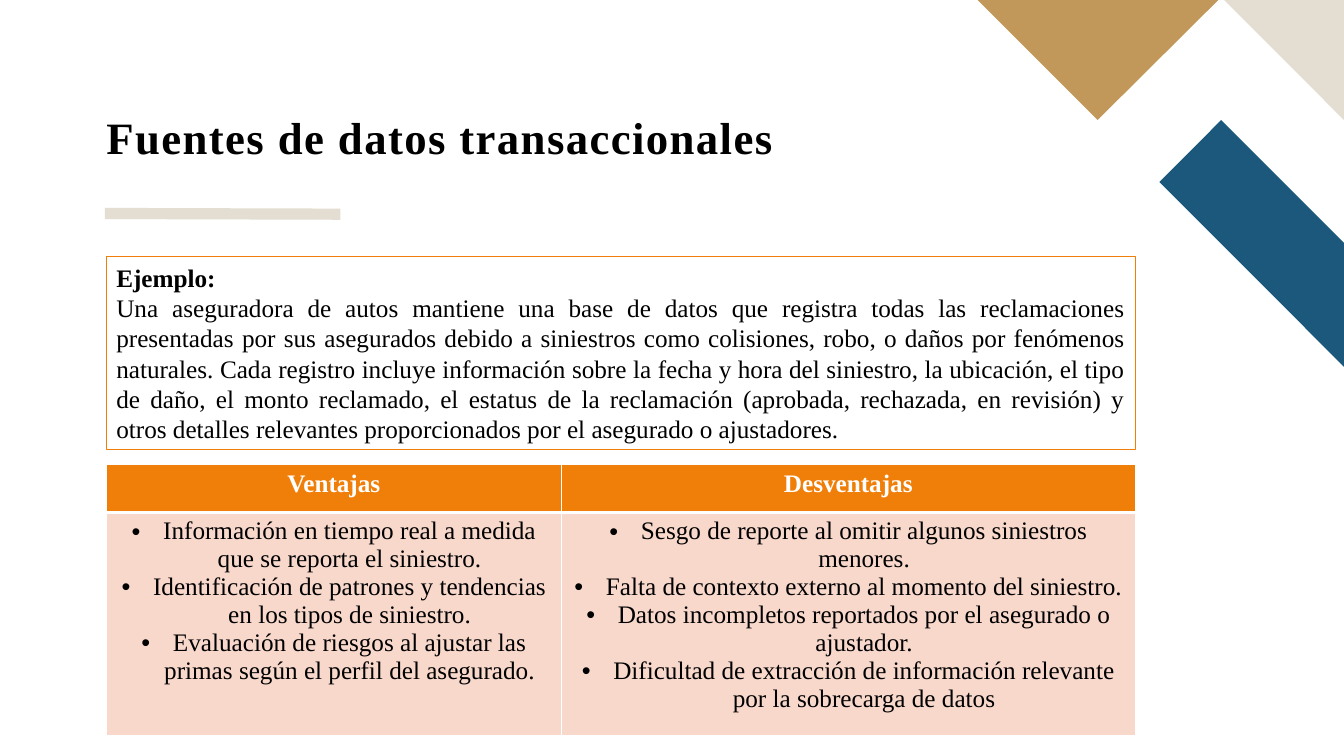
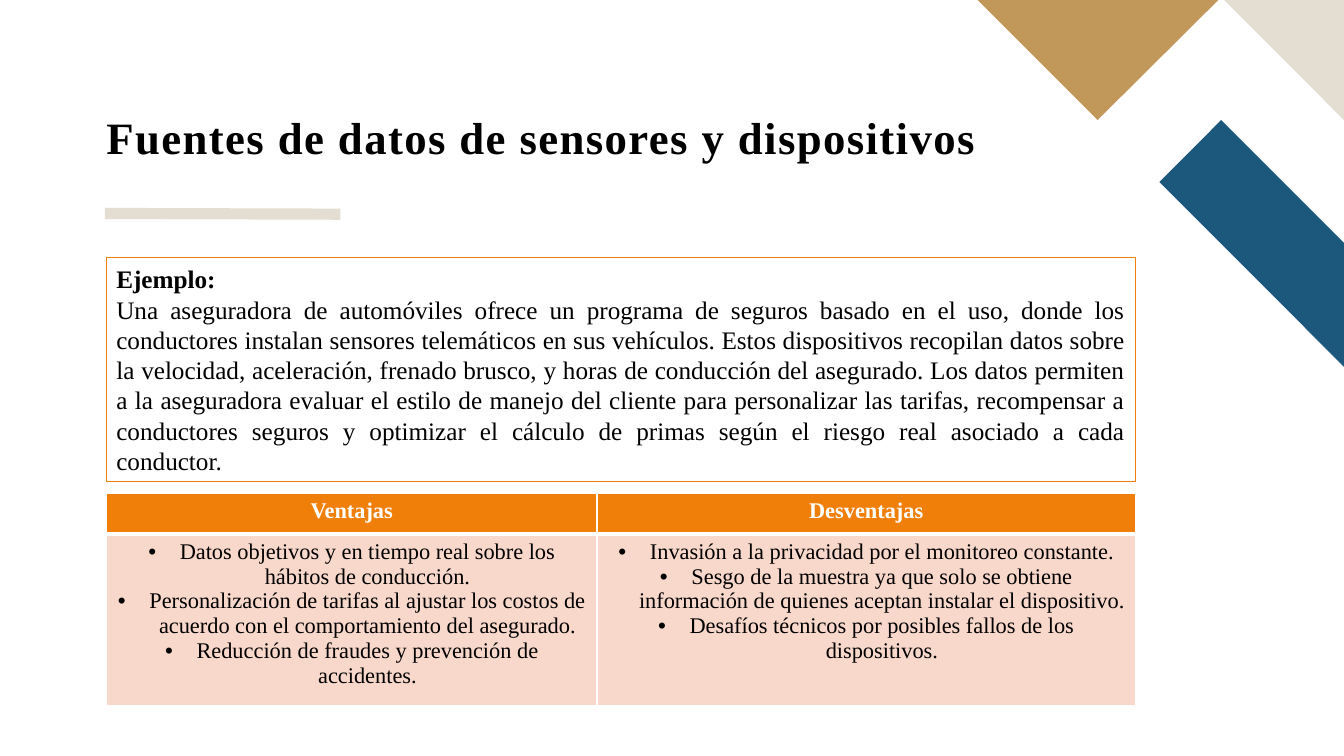
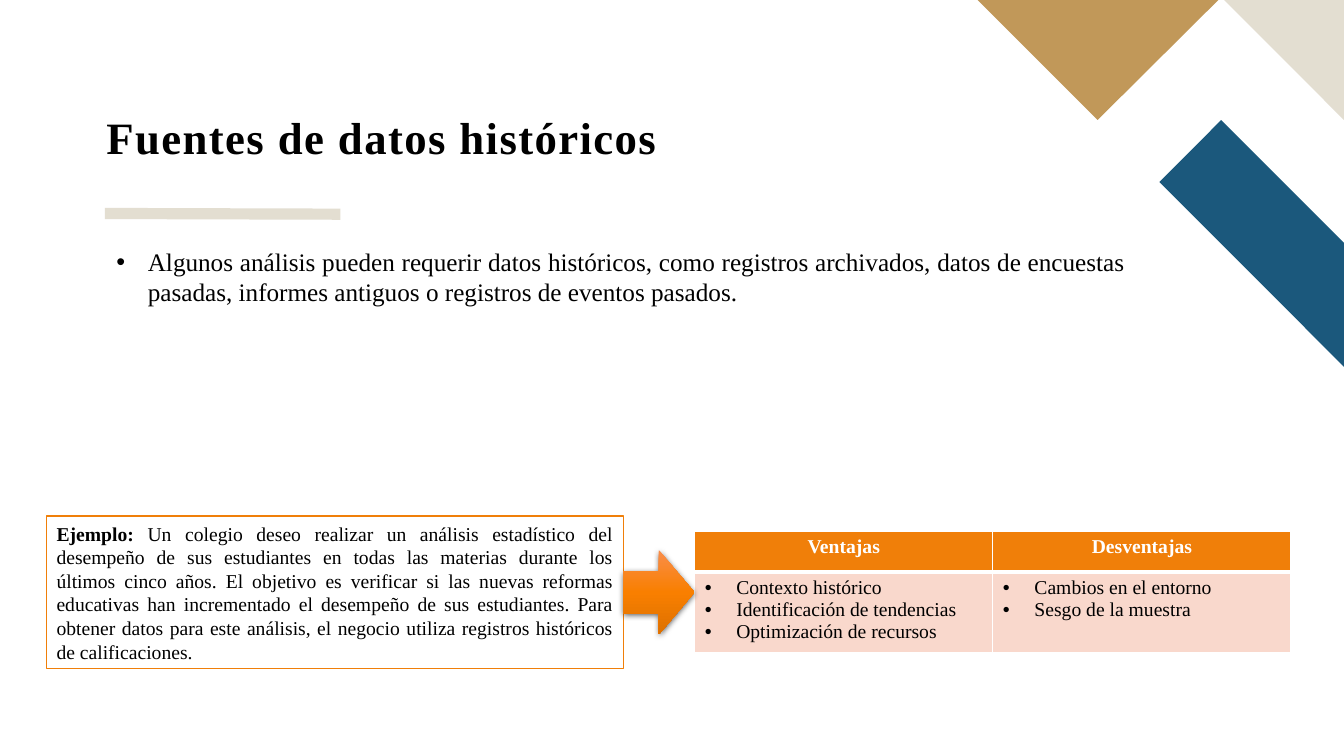
import dataclasses

import pptx
import pptx.dml.color
import pptx.enum.shapes
import pptx.enum.text
import pptx.oxml.ns
import pptx.util
from lxml import etree

Pt = pptx.util.Pt
Shape = pptx.enum.shapes.MSO_SHAPE
Align = pptx.enum.text.PP_ALIGN
AutoSize = pptx.enum.text.MSO_AUTO_SIZE


@dataclasses.dataclass(frozen=True)
class Theme:
    font: str = "Times New Roman"
    ink: str = "000000"
    paper: str = "FFFFFF"
    accent: str = "F07F09"
    tint: str = "F9D8CC"
    sand: str = "E3DED1"
    gold: str = "C19859"
    navy: str = "1B587C"
    arrow: tuple = ((0, "F98E4B"), (50, "F97F00"), (100, "DD7100"))
    title: float = 32
    body: float = 18
    medium: float = 16
    small: float = 14
    left: float = 76
    width: float = 735
    indent: float = 22.5


def rgb(code):
    return pptx.dml.color.RGBColor.from_string(code)


def node(parent, tag, **attributes):
    child = etree.SubElement(parent, pptx.oxml.ns.qn(tag))
    for key, value in attributes.items():
        child.set(key, str(value))
    return child


class Deck:
    def __init__(self, theme):
        self.theme = theme
        self.file = pptx.Presentation()
        self.file.slide_width, self.file.slide_height = Pt(960), Pt(540)
        self.layout = self.file.slide_layouts[5]
        self.slide = None

    def start(self, title):
        first = self.slide is None
        self.slide = self.file.slides.add_slide(self.layout)
        if first:
            self.decorate_layout()
        theme = self.theme
        heading = self.slide.shapes.title
        heading.left, heading.top = Pt(theme.left), Pt(69)
        heading.width, heading.height = Pt(theme.width), Pt(48.3)
        frame = heading.text_frame
        frame.margin_left = frame.margin_right = frame.margin_top = frame.margin_bottom = 0
        frame.vertical_anchor = pptx.enum.text.MSO_ANCHOR.BOTTOM
        frame.word_wrap = True
        frame.auto_size = AutoSize.NONE
        paragraph = frame.paragraphs[0]
        paragraph.alignment, paragraph.line_spacing = Align.JUSTIFY, 0.9
        run = self.run(paragraph, title, theme.title, bold=True)
        run.font._element.set("spc", "100")

    def decorate_layout(self):
        theme = self.theme
        rule = self.slide.shapes.add_connector(
            pptx.enum.shapes.MSO_CONNECTOR.STRAIGHT, Pt(75), Pt(152.5), Pt(243.2), Pt(153))
        rule.line.color.rgb, rule.line.width = rgb(theme.sand), Pt(8)
        node(rule.element.spPr, "a:effectLst")
        ornaments = [
            rule,
            self.polygon(theme.navy, (960, 262), (960, 173.5), (872.3, 85.8), (828.2, 130)),
            self.polygon(theme.sand, (960, 85.7), (960, 0), (874.5, 0)),
            self.polygon(theme.gold, (698.3, 0), (784.1, 85.7), (870.3, 0)),
        ]
        for position, ornament in enumerate(ornaments, start=2):
            self.layout.shapes.element.insert(position, ornament.element)

    def polygon(self, color, *corners):
        start, *others = [(Pt(x), Pt(y)) for x, y in corners]
        builder = self.slide.shapes.build_freeform(*start)
        builder.add_line_segments(others, close=True)
        outline = builder.convert_to_shape()
        outline.shadow.inherit = False
        outline.fill.solid()
        outline.fill.fore_color.rgb = rgb(color)
        outline.line.fill.background()
        return outline

    def run(self, paragraph, text, size, color=None, bold=False):
        run = paragraph.add_run()
        run.text = text
        run.font.name, run.font.size, run.font.bold = self.theme.font, Pt(size), bold
        run.font.color.rgb = rgb(color or self.theme.ink)
        return run

    def bullet(self, paragraph):
        properties = paragraph._p.get_or_add_pPr()
        properties.set("marL", str(Pt(self.theme.indent)))
        properties.set("indent", str(-Pt(self.theme.indent)))
        node(properties, "a:buFont", typeface="Arial")
        node(properties, "a:buChar", char="•")

    def prose(self, frame, paragraphs, size):
        frame.word_wrap = True
        frame.auto_size = AutoSize.SHAPE_TO_FIT_TEXT
        for index, runs in enumerate(paragraphs):
            paragraph = frame.add_paragraph() if index else frame.paragraphs[0]
            paragraph.alignment = Align.JUSTIFY
            for text, bold in runs:
                self.run(paragraph, text, size, bold=bold)

    def example(self, box, paragraphs, size):
        panel = self.slide.shapes.add_shape(Shape.RECTANGLE, *map(Pt, box))
        panel.shadow.inherit = False
        panel.fill.solid()
        panel.fill.fore_color.rgb = rgb(self.theme.paper)
        panel.line.color.rgb, panel.line.width = rgb(self.theme.accent), Pt(1)
        self.prose(panel.text_frame, paragraphs, size)

    def point(self, box, text):
        note = self.slide.shapes.add_textbox(*map(Pt, box))
        self.prose(note.text_frame, [[(text, False)]], self.theme.body)
        self.bullet(note.text_frame.paragraphs[0])

    def cell(self, cell, fill, top, bottom):
        properties = cell._tc.get_or_add_tcPr()
        for side, width in (("L", 1), ("R", 1), ("T", top), ("B", bottom)):
            border = node(properties, "a:ln" + side, w=Pt(width))
            node(node(border, "a:solidFill"), "a:srgbClr", val=self.theme.paper)
        cell.fill.solid()
        cell.fill.fore_color.rgb = rgb(fill)

    def comparison(self, left, top, widths, heights, pros, cons, size, alignment=Align.CENTER):
        theme = self.theme
        table = self.slide.shapes.add_table(
            2, 2, Pt(left), Pt(top), Pt(sum(widths)), Pt(sum(heights))).table
        table.horz_banding = False
        for row, height in zip(table.rows, heights):
            row.height = Pt(height)
        columns = (("Ventajas", pros), ("Desventajas", cons))
        for index, (heading, items) in enumerate(columns):
            table.columns[index].width = Pt(widths[index])
            header, body = table.cell(0, index), table.cell(1, index)
            self.cell(header, theme.accent, 1, 3)
            self.cell(body, theme.tint, 3, 1)
            paragraph = header.text_frame.paragraphs[0]
            paragraph.alignment = Align.CENTER
            self.run(paragraph, heading, size, theme.paper, bold=True)
            frame = body.text_frame
            for order, item in enumerate(items):
                paragraph = frame.add_paragraph() if order else frame.paragraphs[0]
                paragraph.alignment = alignment
                self.bullet(paragraph)
                self.run(paragraph, item, size)

    def arrow(self, box):
        arrow = self.slide.shapes.add_shape(Shape.RIGHT_ARROW, *map(Pt, box))
        properties = arrow.element.spPr
        gradient = node(properties, "a:gradFill", rotWithShape=1)
        stops = node(gradient, "a:gsLst")
        for percent, color in self.theme.arrow:
            node(node(stops, "a:gs", pos=percent * 1000), "a:srgbClr", val=color)
        node(gradient, "a:lin", ang=5400000, scaled=0)
        arrow.line.fill.background()
        shadow = node(node(properties, "a:effectLst"), "a:outerShdw", blurRad=Pt(4.5),
                      dist=Pt(1.5), dir=5400000, rotWithShape=0)
        node(node(shadow, "a:srgbClr", val=self.theme.ink), "a:alpha", val=63000)


def main():
    theme = Theme()
    deck = Deck(theme)
    label = ("Ejemplo: ", True)

    deck.start("Fuentes de datos transaccionales")
    deck.example((theme.left, 183.2, theme.width, 138), [[label], [(
        "Una aseguradora de autos mantiene una base de datos que registra todas las "
        "reclamaciones presentadas por sus asegurados debido a siniestros como colisiones, "
        "robo, o daños por fenómenos naturales. Cada registro incluye información sobre la "
        "fecha y hora del siniestro, la ubicación, el tipo de daño, el monto reclamado, el "
        "estatus de la reclamación (aprobada, rechazada, en revisión) y otros detalles "
        "relevantes proporcionados por el asegurado o ajustadores.", False)]], theme.body)
    deck.comparison(
        theme.left, 332, (325, 410), (34, 159.3),
        ["Información en tiempo real a medida que se reporta el siniestro.",
         "Identificación de patrones y tendencias en los tipos de siniestro.",
         "Evaluación de riesgos al ajustar las primas según el perfil del asegurado."],
        ["Sesgo de reporte al omitir algunos siniestros menores.",
         "Falta de contexto externo al momento del siniestro.",
         "Datos incompletos reportados por el asegurado o ajustador.",
         "Dificultad de extracción de información relevante por la sobrecarga de datos"],
        theme.body)

    deck.start("Fuentes de datos de sensores y dispositivos ")
    deck.example((theme.left, 184, theme.width, 160), [[label], [(
        "Una aseguradora de automóviles ofrece un programa de seguros basado en el uso, donde "
        "los conductores instalan sensores telemáticos en sus vehículos. Estos dispositivos "
        "recopilan datos sobre la velocidad, aceleración, frenado brusco, y horas de "
        "conducción del asegurado. Los datos permiten a la aseguradora evaluar el estilo de "
        "manejo del cliente para personalizar las tarifas, recompensar a conductores seguros "
        "y optimizar el cálculo de primas según el riesgo real asociado a cada conductor.",
        False)]], theme.body)
    deck.comparison(
        theme.left, 352.3, (350.5, 384.5), (29.2, 122.4),
        ["Datos objetivos y en tiempo real sobre los hábitos de conducción.",
         "Personalización de tarifas al ajustar los costos de acuerdo con el comportamiento "
         "del asegurado.",
         "Reducción de fraudes y prevención de accidentes."],
        ["Invasión a la privacidad por el monitoreo constante.",
         "Sesgo de la muestra ya que solo se obtiene información de quienes aceptan instalar "
         "el dispositivo.",
         "Desafíos técnicos por posibles fallos de los dispositivos."],
        theme.medium)

    deck.start("Fuentes de datos históricos")
    deck.point((theme.left, 172.3, theme.width, 51),
               "Algunos análisis pueden requerir datos históricos, como registros archivados, "
               "datos de encuestas pasadas, informes antiguos o registros de eventos pasados.")
    deck.example((33.3, 368.6, 412, 109), [[label, (
        "Un colegio deseo realizar un análisis estadístico del desempeño de sus estudiantes "
        "en todas las materias durante los últimos cinco años. El objetivo es verificar si "
        "las nuevas reformas educativas han incrementado el desempeño de sus estudiantes. "
        "Para obtener datos para este análisis, el negocio utiliza registros históricos de "
        "calificaciones.", False)]], theme.small)
    deck.comparison(
        496.2, 379.6, (213, 213), (29.2, 57.6),
        ["Contexto histórico", "Identificación de tendencias", "Optimización de recursos"],
        ["Cambios en el entorno", "Sesgo de la muestra"],
        theme.small, Align.JUSTIFY)
    deck.arrow((445.3, 393, 50.8, 60.2))

    deck.file.save("out.pptx")


if __name__ == "__main__":
    main()
